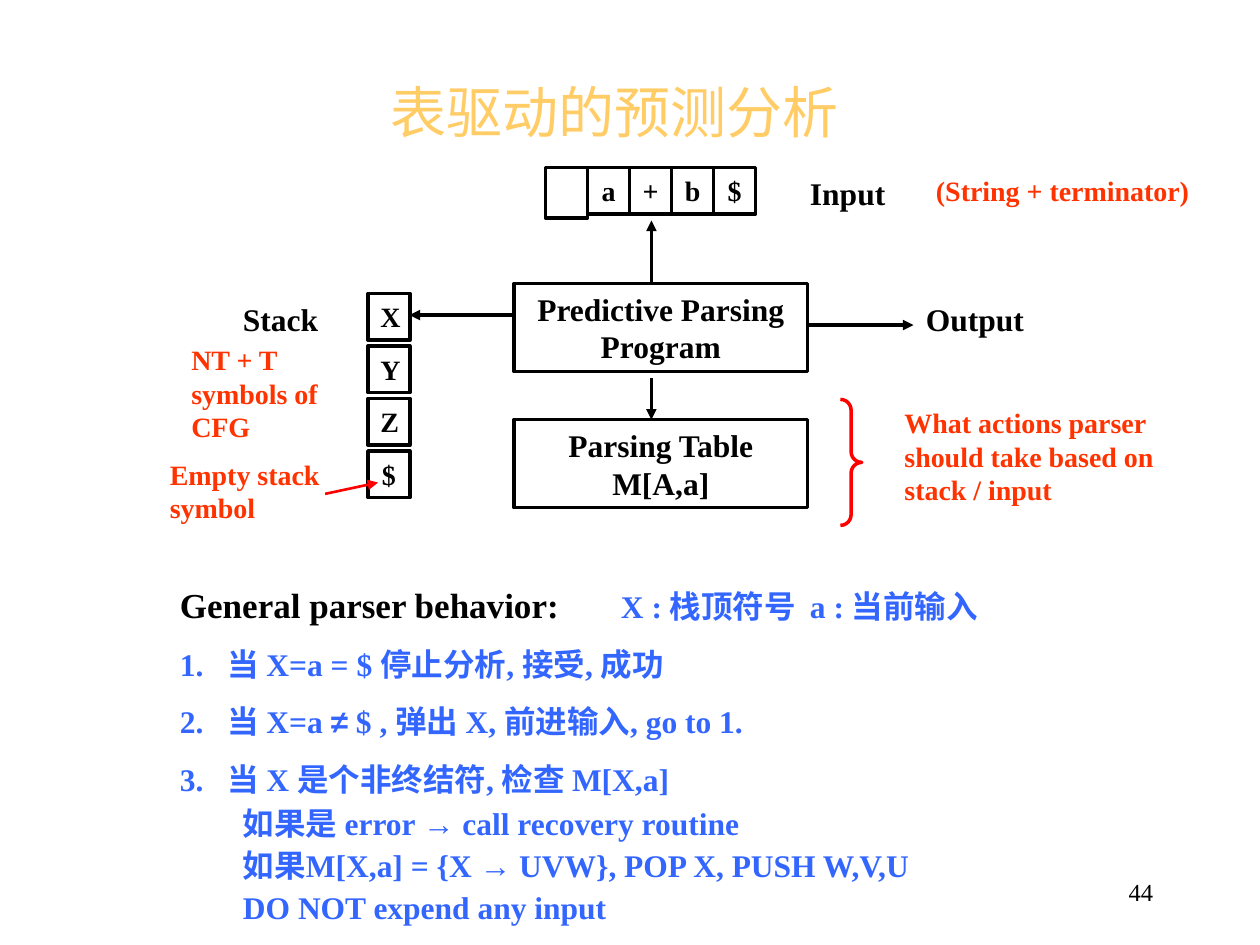
from pptx import Presentation
from pptx.dml.color import RGBColor
from pptx.enum.shapes import MSO_CONNECTOR, MSO_SHAPE
from pptx.enum.text import MSO_ANCHOR, PP_ALIGN
from pptx.oxml.ns import qn
from pptx.util import Inches, Pt
from lxml.etree import SubElement

COLORS = {"ink": "000000", "title": "FFCC66", "note": "FF3300",
          "mark": "FF0000", "rule": "3366FF"}
SERIF, SANS = "Times New Roman", "Arial"


class Slide:
    """Holds the text style and the current slide, and draws each kind of element."""

    def __init__(self, prs):
        self.s = prs.slides.add_slide(prs.slide_layouts[6])

    def run(self, p, text, size, color="ink", font=SERIF, bold=True):
        r = p.add_run()
        r.text = text
        r.font.size, r.font.name, r.font.bold = Pt(size), font, bold
        r.font.color.rgb = RGBColor.from_string(COLORS[color])

    def frame(self, sp, anchor=MSO_ANCHOR.TOP):
        tf = sp.text_frame
        tf.word_wrap, tf.vertical_anchor = True, anchor
        return tf

    def text(self, box, text, size, color="ink", font=SERIF, bold=True,
             align=PP_ALIGN.LEFT, anchor=MSO_ANCHOR.TOP):
        sp = self.s.shapes.add_textbox(*map(Inches, box))
        p = self.frame(sp, anchor).paragraphs[0]
        p.alignment = align
        self.run(p, text, size, color, font, bold)

    def outline(self, sp, color, width=2):
        sp.line.color.rgb = RGBColor.from_string(COLORS[color])
        sp.line.width = Pt(width)

    def shape(self, kind, box, color="ink"):
        sp = self.s.shapes.add_shape(kind, *map(Inches, box))
        sp.shadow.inherit = False
        sp.fill.background()
        self.outline(sp, color)
        return sp

    def box(self, box, text="", size=16):
        sp = self.shape(MSO_SHAPE.RECTANGLE, box)
        if text:
            p = self.frame(sp).paragraphs[0]
            p.alignment = PP_ALIGN.CENTER
            self.run(p, text, size)

    def brace(self, box, color):
        self.shape(MSO_SHAPE.RIGHT_BRACE, box, color).adjustments[0] = 0.5

    def arrow(self, start, end, color="ink", width=2):
        sp = self.s.shapes.add_connector(
            MSO_CONNECTOR.STRAIGHT, *map(Inches, (*start, *end)))
        self.outline(sp, color, width)
        SubElement(sp.line._get_or_add_ln(), qn("a:tailEnd"), type="triangle")
        SubElement(sp._element.spPr, qn("a:effectLst"))

    def paragraphs(self, box, items):
        tf = self.frame(self.s.shapes.add_textbox(*map(Inches, box)))
        for i, (margin, indent, tabs, spacing, runs) in enumerate(items):
            p = tf.add_paragraph() if i else tf.paragraphs[0]
            pPr = p._p.get_or_add_pPr()
            pPr.set("marL", str(Inches(margin)))
            pPr.set("indent", str(Inches(indent)))
            if tabs:
                lst = SubElement(pPr, qn("a:tabLst"))
                for pos in tabs:
                    SubElement(lst, qn("a:tab"), pos=str(Inches(pos)), algn="l")
            if i:
                p.space_before = Pt(11.2)
            p.line_spacing = spacing
            for r in runs:
                self.run(p, *r)


def rule(text):
    """Split a line into styled runs, with math symbols in the sans font."""
    for symbol in "≠→":
        if symbol in text:
            before, after = text.split(symbol)
            return [(before, 18, "rule"), (symbol, 18, "rule", SANS), (after, 18, "rule")]
    return [(text, 18, "rule")]


def main():
    prs = Presentation()
    prs.slide_width, prs.slide_height = Inches(10), Inches(7.5)
    s = Slide(prs)

    s.text((7.17, 6.83, 2.08, 0.5), "44", 14, bold=False,
           align=PP_ALIGN.RIGHT, anchor=MSO_ANCHOR.MIDDLE)
    s.text((0.75, 0.67, 8.25, 0.42), "表驱动的预测分析", 32, "title", SANS, False,
           PP_ALIGN.CENTER, MSO_ANCHOR.MIDDLE)

    cell = 1 / 3
    s.box((4.33, 1.33, cell, 0.4))
    for i, symbol in enumerate("a+b$", 1):
        s.box((4.33 + i * cell, 1.33, cell, 0.37), symbol)
    for i, symbol in enumerate("XYZ$"):
        s.box((2.92, 2.33 + i * 5 / 12, cell, 0.37), symbol)
    for top, text in ((2.25, "Predictive Parsing Program"),
                      (3.33, "Parsing Table M[A,a]")):
        s.box((4.08, top, 2.33, 0.7), text, 18)

    for left, top, width, text in ((6.33, 1.33, 0.92, "Input"),
                                   (1.83, 2.33, 0.92, "Stack"),
                                   (7.25, 2.33, 1.25, "Output")):
        s.text((left, top, width, 0.4), text, 18)
    for box, text in (
            ((7.33, 1.33, 2.25, 0.37), "(String + terminator)"),
            ((1.42, 2.67, 1.25, 0.9), "NT + T symbols of CFG"),
            ((1.25, 3.58, 1.5, 0.64), "Empty stack symbol"),
            ((7.08, 3.17, 2.33, 0.9),
             "What actions parser should take based on stack / input")):
        s.text(box, text, 16, "note")

    for start, end in (((5.17, 2.25), (5.17, 1.75)), ((4.08, 2.5), (3.25, 2.5)),
                       ((5.17, 3), (5.17, 3.33)), ((6.42, 2.58), (7.25, 2.58))):
        s.arrow(start, end)
    s.arrow((2.58, 3.92), (3, 3.83), "mark", 1.5)
    s.brace((6.67, 3.17, 0.17, 1), "mark")

    heading = [("General parser behavior:", 20),
               ("\tX : 栈顶符号\ta : 当前输入", 18, "rule")]
    steps = ("当 X=a = $ 停止分析, 接受, 成功",
             "当 X=a ≠ $ , 弹出 X, 前进输入, go to 1.",
             "当 X 是个非终结符, 检查 M[X,a]")
    cases = ("如果是 error → call recovery routine",
             "如果M[X,a] = {X → UVW}, POP X, PUSH W,V,U",
             "DO NOT expend any input")
    s.paragraphs((1.33, 4.58, 7.92, 2.81), [
        (0, 0, (3.29, 5.25), 1.0, heading),
        *((0.38, -0.38, (), 1.0, rule(f"{n}.\t{text}"))
          for n, text in enumerate(steps, 1)),
        *((0.5, 0, (), 0.6, rule(text)) for text in cases)])

    prs.save("out.pptx")


if __name__ == "__main__":
    main()
